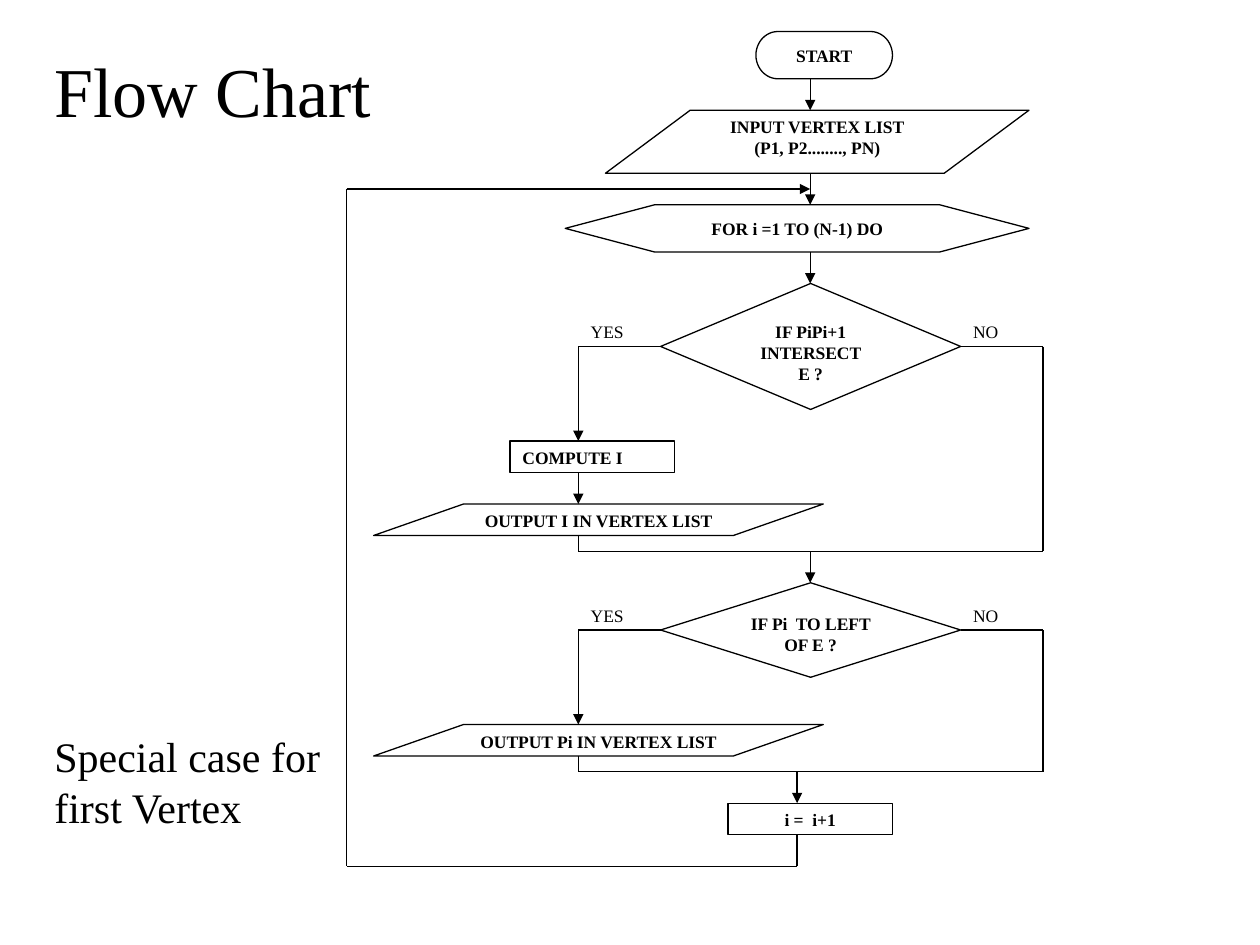
from itertools import pairwise

from lxml import etree
from pptx import Presentation
from pptx.dml.color import RGBColor
from pptx.enum.shapes import MSO_CONNECTOR, MSO_SHAPE as SHAPE
from pptx.enum.text import MSO_ANCHOR, PP_ALIGN as ALIGN
from pptx.oxml.ns import qn
from pptx.util import Pt

FONT = "Times New Roman"


def color(value):
    return RGBColor.from_string(value)


def write(sp, text, size, bold=False, align=ALIGN.LEFT):
    tf = sp.text_frame
    tf.word_wrap = True
    tf.text = text
    for p in tf.paragraphs:
        p.alignment = align
        for r in p.runs:
            r.font.name = FONT
            r.font.size = Pt(size)
            r.font.bold = bold
            r.font.color.rgb = color("000000")


prs = Presentation()
prs.slide_width, prs.slide_height = Pt(720), Pt(540)
s = prs.slides.add_slide(prs.slide_layouts[6])

# Columns of the chart: loop back, yes branch, step, main flow, no branch
BACK, YES, STEP, MAIN, NO = 198, 330.5, 455.5, 463, 596
# Side corners of both decisions
LEFT, RIGHT = 377.5, 549

# Flow chart boxes: shape, left, top, width, height, text, alignment
IO, DECISION, PROCESS = (SHAPE.FLOWCHART_DATA, SHAPE.FLOWCHART_DECISION,
                         SHAPE.FLOWCHART_PROCESS)
boxes = [
    (SHAPE.FLOWCHART_TERMINATOR, 432, 18, 78, 27, "START", ALIGN.CENTER),
    (IO, 346, 63, 242, 36, "INPUT VERTEX LIST\n(P1, P2........, PN)", ALIGN.CENTER),
    (SHAPE.HEXAGON, 323, 117, 265, 27, "FOR i =1 TO (N-1) DO", ALIGN.CENTER),
    (DECISION, LEFT, 162, RIGHT - LEFT, 72, "IF PiPi+1 INTERSECT E ?", ALIGN.CENTER),
    (PROCESS, 291.5, 252, 94, 18, "COMPUTE I", ALIGN.LEFT),
    (IO, 213.5, 288, 257, 18, "OUTPUT I IN VERTEX LIST", ALIGN.CENTER),
    (DECISION, LEFT, 333, RIGHT - LEFT, 54, "IF Pi  TO LEFT OF E ?", ALIGN.CENTER),
    (IO, 213.5, 414, 257, 18, "OUTPUT Pi IN VERTEX LIST", ALIGN.CENTER),
    (PROCESS, 416, 459, 94, 18, "i =  i+1", ALIGN.CENTER),
]
for kind, x, y, w, h, text, align in boxes:
    sp = s.shapes.add_shape(kind, Pt(x), Pt(y), Pt(w), Pt(h))
    sp.shadow.inherit = False
    sp.fill.solid()
    sp.fill.fore_color.rgb = color("FFFFFF")
    sp.line.color.rgb = color("000000")
    sp.line.width = Pt(0.75)
    if kind == SHAPE.HEXAGON:
        sp.adjustments[0] = 1.89
    write(sp, text, 10, True, align)
    sp.text_frame.vertical_anchor = MSO_ANCHOR.TOP

# Flow lines: corner points, arrowhead at the end
routes = [
    ([(MAIN, 45), (MAIN, 63)], True),
    ([(MAIN, 99), (MAIN, 117)], True),
    ([(MAIN, 144), (MAIN, 162)], True),
    ([(LEFT, 198), (YES, 198), (YES, 252)], True),
    ([(YES, 270), (YES, 288)], True),
    ([(RIGHT, 198), (NO, 198), (NO, 315)], False),
    ([(YES, 306), (YES, 315), (NO, 315)], False),
    ([(MAIN, 315), (MAIN, 333)], True),
    ([(LEFT, 360), (YES, 360), (YES, 414)], True),
    ([(RIGHT, 360), (NO, 360), (NO, 441)], False),
    ([(YES, 432), (YES, 441), (NO, 441)], False),
    ([(STEP, 441), (STEP, 459)], True),
    ([(STEP, 477), (STEP, 495), (BACK, 495), (BACK, 108), (MAIN, 108)], True),
]
for points, arrow in routes:
    for (x1, y1), (x2, y2) in pairwise(points):
        cn = s.shapes.add_connector(MSO_CONNECTOR.STRAIGHT,
                                    Pt(x1), Pt(y1), Pt(x2), Pt(y2))
        cn.line.color.rgb = color("000000")
        cn.line.width = Pt(0.75)
        spPr = cn.line._get_or_add_ln().getparent()
        etree.SubElement(spPr, qn("a:effectLst"))
    if arrow:
        etree.SubElement(cn.line._get_or_add_ln(), qn("a:tailEnd"), type="triangle")

# Branch labels, title and remark: text, left, top, width, height, size, anchor
TOP, MIDDLE = MSO_ANCHOR.TOP, MSO_ANCHOR.MIDDLE
labels = [(text, x, y, 47, 18, 10, TOP)
          for y in (180, 342) for text, x in (("YES", YES), ("NO", RIGHT))]
labels += [
    ("Flow Chart", 24, 18, 282, 66, 40, MIDDLE),
    ("Special case for first Vertex", 24, 414, 180, 65, 24, TOP),
]
for text, x, y, w, h, size, anchor in labels:
    sp = s.shapes.add_textbox(Pt(x), Pt(y), Pt(w), Pt(h))
    write(sp, text, size)
    sp.text_frame.vertical_anchor = anchor

prs.save("out.pptx")
